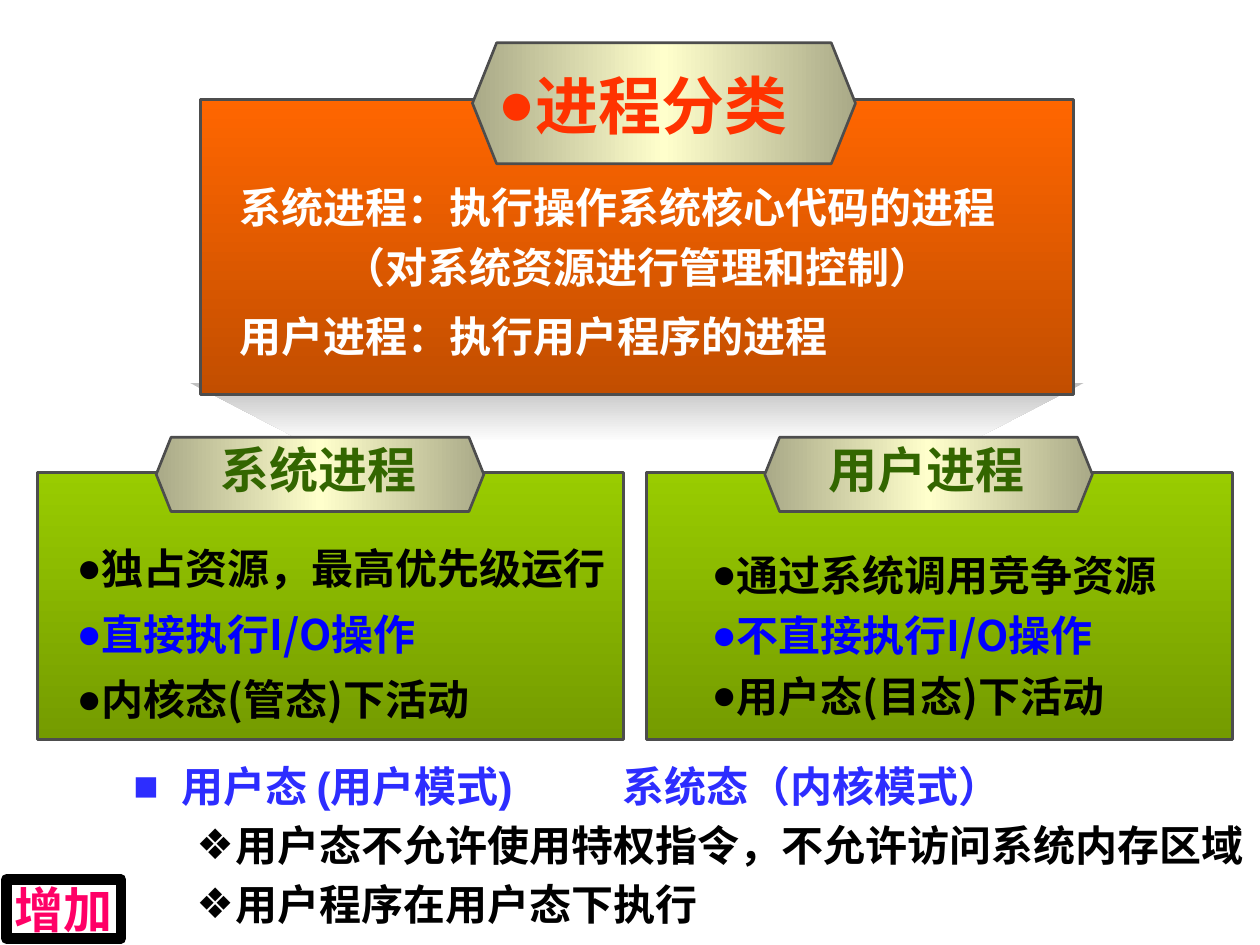
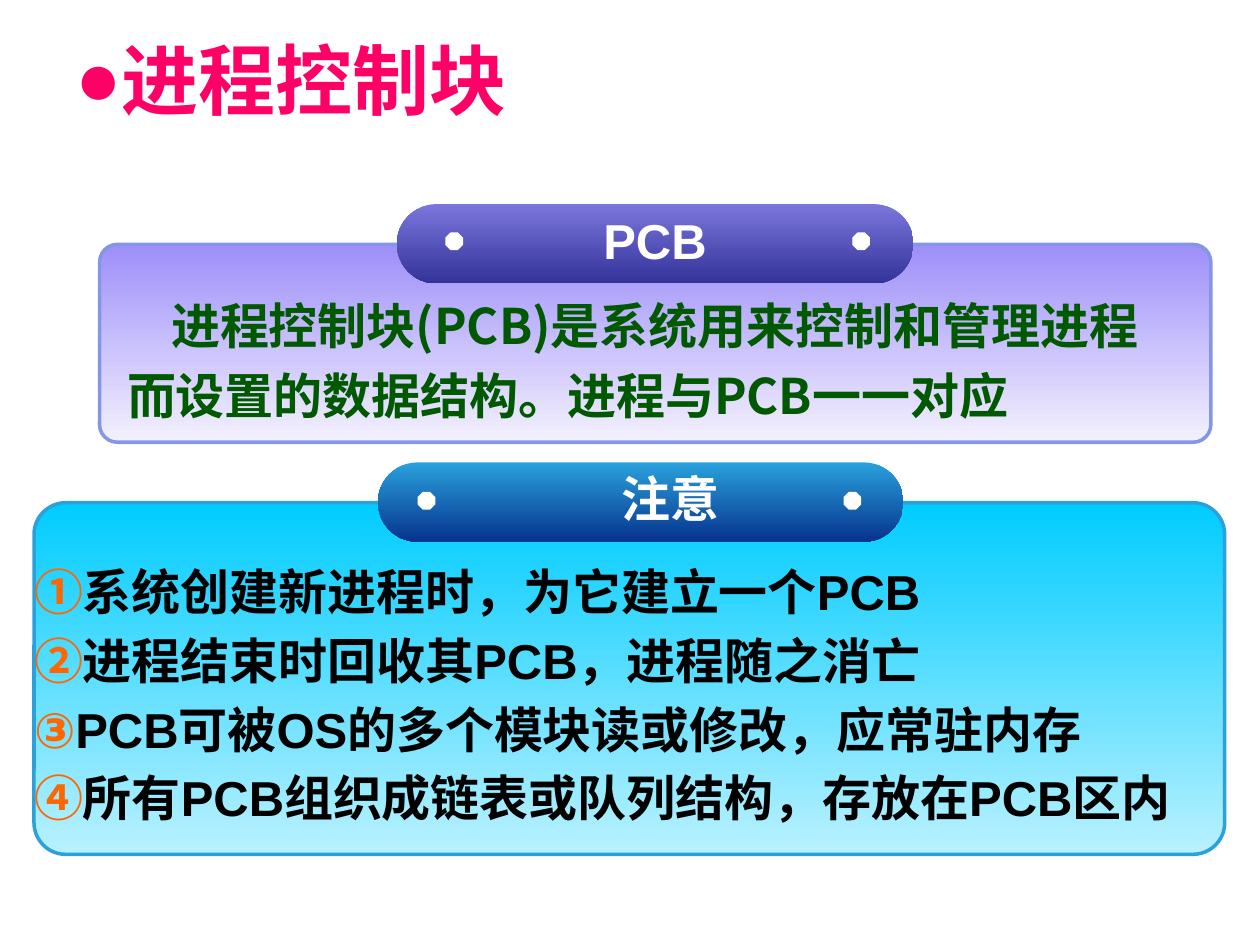
from dataclasses import dataclass

import pptx
import pptx.dml.color
import pptx.enum.shapes
import pptx.enum.text
import pptx.oxml.ns
import pptx.util
from lxml import etree

Inches = pptx.util.Inches
Pt = pptx.util.Pt
SHAPE = pptx.enum.shapes.MSO_SHAPE
ALIGN = pptx.enum.text.PP_ALIGN
ANCHOR = pptx.enum.text.MSO_ANCHOR
qn = pptx.oxml.ns.qn


@dataclass(frozen=True)
class Theme:
    # Fonts and type sizes
    cjk: str = "Noto Sans CJK SC"
    latin: str = "Arial"
    accent_font: str = "Montserrat"
    title: int = 44
    heading: int = 36
    label: int = 28
    body: int = 24
    # Text and line colours
    black: str = "000000"
    white: str = "FFFFFF"
    blue: str = "0000FF"
    mode_blue: str = "2D2DFF"
    pink: str = "FF0066"
    red: str = "FF3300"
    orange: str = "FF6600"
    label_green: str = "336600"
    text_green: str = "005800"
    edge: str = "4D4D4D"
    pcb_edge: str = "8497E6"
    note_edge: str = "2AA1DC"
    # Gradients, listed from first stop to last
    shadow: tuple = ("C0C0C0", "FFFFFF")
    orange_panel: tuple = ("FF6600", "C24E00")
    green_panel: tuple = ("99CC00", "749B00")
    plaque: tuple = ("A9A987", "FFFFCC", "A9A987")
    pcb_panel: tuple = ("9E8FF9", "F3F1FE")
    pcb_pill: tuple = ("7B76DC", "333399")
    note_panel: tuple = ("00CCFF", "B9F1FF")
    note_pill: tuple = ("2AA1DC", "06338E")


THEME = Theme()


def rgb(value):
    return pptx.dml.color.RGBColor.from_string(value)


class Deck:
    def __init__(self, theme):
        self.theme = theme
        self.prs = pptx.Presentation()
        self.prs.slide_width, self.prs.slide_height = Inches(10), Inches(7.5)
        self.slide = None

    def new_slide(self):
        self.slide = self.prs.slides.add_slide(self.prs.slide_layouts[6])

    def paint(self, shape, fill=None, line=None, width=1.5, angle=270):
        """Fill with a colour, a tuple of gradient stops, or nothing."""
        shape.shadow.inherit = False
        if fill is None:
            shape.fill.background()
        elif isinstance(fill, str):
            shape.fill.solid()
            shape.fill.fore_color.rgb = rgb(fill)
        else:
            shape.fill.gradient()
            shape.fill.gradient_angle = angle
            stops = next(shape._element.spPr.iter(qn("a:gsLst")))
            stops[:] = []
            for i, colour in enumerate(fill):
                position = str(100000 * i // (len(fill) - 1))
                stop = etree.SubElement(stops, qn("a:gs"), pos=position)
                etree.SubElement(stop, qn("a:srgbClr"), val=colour)
        if line is None:
            shape.line.fill.background()
        else:
            shape.line.color.rgb = rgb(line)
            shape.line.width = Pt(width)
        return shape

    def shape(self, kind, box, fill=None, line=None, width=1.5, adj=None, angle=270):
        shape = self.slide.shapes.add_shape(kind, *map(Inches, box))
        if adj is not None:
            shape.adjustments[0] = adj
        return self.paint(shape, fill, line, width, angle)

    def outline(self, points, fill):
        points = [(Inches(x), Inches(y)) for x, y in points]
        builder = self.slide.shapes.build_freeform(*points[0])
        builder.add_line_segments(points[1:], close=True)
        return self.paint(builder.convert_to_shape(), fill)

    def plaque(self, box):
        self.shape(SHAPE.HEXAGON, box, self.theme.plaque, self.theme.edge,
                   adj=0.2, angle=0)

    def pill(self, box, fill, dot_lefts, dot_top):
        self.shape(SHAPE.ROUNDED_RECTANGLE, box, fill, adj=0.5)
        for left in dot_lefts:
            self.shape(SHAPE.OCTAGON, (left, dot_top, 0.13, 0.13),
                       self.theme.white, self.theme.white, 0.75)

    def text(self, box, paragraphs, size, font=None, anchor=ANCHOR.TOP, inset=None):
        holder = self.slide.shapes.add_textbox(*map(Inches, box))
        self.fill_text(holder.text_frame, paragraphs, size, font, anchor, inset)

    def fill_text(self, frame, paragraphs, size, font=None, anchor=ANCHOR.TOP, inset=None):
        """Each paragraph is (list of (words, colour) runs, dict of layout)."""
        frame.word_wrap = True
        frame.vertical_anchor = anchor
        if inset is not None:
            frame.margin_left = frame.margin_right = Inches(inset)
            frame.margin_top = frame.margin_bottom = Inches(inset)
        for i, (runs, layout) in enumerate(paragraphs):
            paragraph = frame.add_paragraph() if i else frame.paragraphs[0]
            self.lay_out(paragraph, **layout)
            for words, colour in runs:
                run = paragraph.add_run()
                run.text = words
                run.font.size, run.font.bold = Pt(size), True
                run.font.name = font or self.theme.cjk
                run.font.color.rgb = rgb(colour)
                etree.SubElement(run._r.get_or_add_rPr(), qn("a:ea"),
                                 typeface=self.theme.cjk)

    def lay_out(self, paragraph, bullet=None, left=0, first=0, tab=None, spacing=None,
                before=None, after=None, align=ALIGN.LEFT):
        paragraph.alignment = align
        if spacing:
            paragraph.line_spacing = spacing
        if before:
            paragraph.space_before = Pt(before)
        if after:
            paragraph.space_after = Pt(after)
        props = paragraph._p.get_or_add_pPr()
        props.set("marL", str(Inches(left)))
        props.set("indent", str(Inches(first)))
        if bullet:
            etree.SubElement(props, qn("a:buFont"), typeface=self.theme.latin)
            etree.SubElement(props, qn("a:buChar"), char=bullet)
        if tab:
            tabs = etree.SubElement(props, qn("a:tabLst"))
            etree.SubElement(tabs, qn("a:tab"), pos=str(Inches(tab)), algn="l")


def process_panel(deck, left, label, points, points_box, spacing):
    """Green panel with a plaque and three points, the middle one in blue."""
    t = deck.theme
    deck.shape(SHAPE.RECTANGLE, (left, 3.75, 4.65, 2.12), t.green_panel, t.edge)
    deck.plaque((left + 0.94, 3.47, 2.6, 0.59))
    deck.text((left + 1.35, 3.44, 1.87, 0.57), [([(label, t.label_green)], {})], t.label)
    colours = (t.black, t.blue, t.black)
    deck.text(points_box,
              [([run], dict(bullet="●", spacing=spacing)) for run in zip(points, colours)],
              t.body)


def process_types(deck):
    t = deck.theme
    deck.new_slide()

    # Definition panel and its cast shadow
    deck.outline([(1.51, 3.04), (2.42, 3.51), (7.69, 3.51), (8.6, 3.04)], t.shadow)
    deck.shape(SHAPE.RECTANGLE, (1.59, 0.79, 6.93, 2.34), t.orange_panel, t.edge)
    deck.plaque((3.75, 0.34, 3.04, 0.96))
    deck.text((3.85, 0.2, 3.31, 1.25), [([("进程分类", t.red)], dict(bullet="●"))],
              t.heading, anchor=ANCHOR.MIDDLE)
    definitions = [
        ("系统进程：执行操作系统核心代码的进程", {}),
        ("（对系统资源进行管理和控制）", dict(left=0.83, after=4.8)),
        ("用户进程：执行用户程序的进程", {}),
    ]
    deck.text((1.8, 1.31, 7.03, 1.62),
              [([(words, t.white)], dict(spacing=1.2, **layout))
               for words, layout in definitions], t.body)

    # The two kinds of process
    process_panel(deck, 0.3, "系统进程",
                  ("独占资源，最高优先级运行", "直接执行I/O操作", "内核态(管态)下活动"),
                  (0.51, 4.14, 4.6, 1.66), 1.3)
    process_panel(deck, 5.13, "用户进程",
                  ("通过系统调用竞争资源", "不直接执行I/O操作", "用户态(目态)下活动"),
                  (5.55, 4.23, 3.86, 1.54), 1.2)

    # Processor modes
    rule = dict(bullet="❖", left=0.81, first=-0.31, before=4.8)
    deck.text((0.96, 5.99, 9.16, 1.46), [
        ([("用户态 (用户模式)\t系统态（内核模式）", t.mode_blue)],
         dict(bullet="■", left=0.38, first=-0.38, tab=3.88)),
        ([("用户态不允许使用特权指令，不允许访问系统内存区域", t.black)], rule),
        ([("用户程序在用户态下执行", t.black)], rule),
    ], t.body, t.latin)

    # Corner tag
    tag = deck.shape(SHAPE.RECTANGLE, (0.05, 6.98, 0.91, 0.47), line=t.black, width=6)
    deck.fill_text(tag.text_frame, [([("增加", t.pink)], dict(align=ALIGN.CENTER))],
                   t.label, t.accent_font, ANCHOR.MIDDLE, inset=0)


def control_block(deck):
    t = deck.theme
    deck.new_slide()

    # Title
    deck.text((0.5, 0, 9, 1.25), [([("进程控制块", t.pink)], dict(bullet="●"))],
              t.title, t.latin, ANCHOR.MIDDLE)

    # What a PCB is
    deck.shape(SHAPE.ROUNDED_RECTANGLE, (0.79, 1.94, 8.82, 1.57), t.pcb_panel,
               t.pcb_edge, 2, adj=0.09)
    deck.text((0.91, 2.2, 8.35, 1.22), [
        ([("进程控制块(PCB)是系统用来控制和管理进程而设置的数据结构。进程与PCB一一对应",
           t.text_green)], dict(first=0.35, spacing=1.2)),
    ], t.label)
    deck.pill((3.15, 1.62, 4.1, 0.63), t.pcb_pill, (3.54, 6.77), 1.85)
    deck.text((4.69, 1.62, 1.02, 0.57), [([("PCB", t.white)], {})], t.label, t.latin)

    # Points to note
    deck.shape(SHAPE.ROUNDED_RECTANGLE, (0.27, 3.99, 9.45, 2.79), t.note_panel,
               t.note_edge, 2, adj=0.09)
    deck.pill((3, 3.67, 4.17, 0.63), t.note_pill, (3.32, 6.7), 3.91)
    deck.text((4.26, 3.67, 2.13, 0.57),
              [([("注意", t.white)], dict(align=ALIGN.CENTER))], t.label, t.latin)
    notes = [
        ("①", "系统创建新进程时，为它建立一个PCB"),
        ("②", "进程结束时回收其PCB，进程随之消亡"),
        ("③", "PCB可被OS的多个模块读或修改，应常驻内存"),
        ("④", "所有PCB组织成链表或队列结构，存放在PCB区内"),
    ]
    deck.text((0.27, 4.46, 9.45, 2.15),
              [([(number, t.orange), (note, t.black)], dict(before=5.6 if i else None))
               for i, (number, note) in enumerate(notes)],
              t.label, t.latin, inset=0)


def main():
    deck = Deck(THEME)
    process_types(deck)
    control_block(deck)
    deck.prs.save("out.pptx")


if __name__ == "__main__":
    main()
